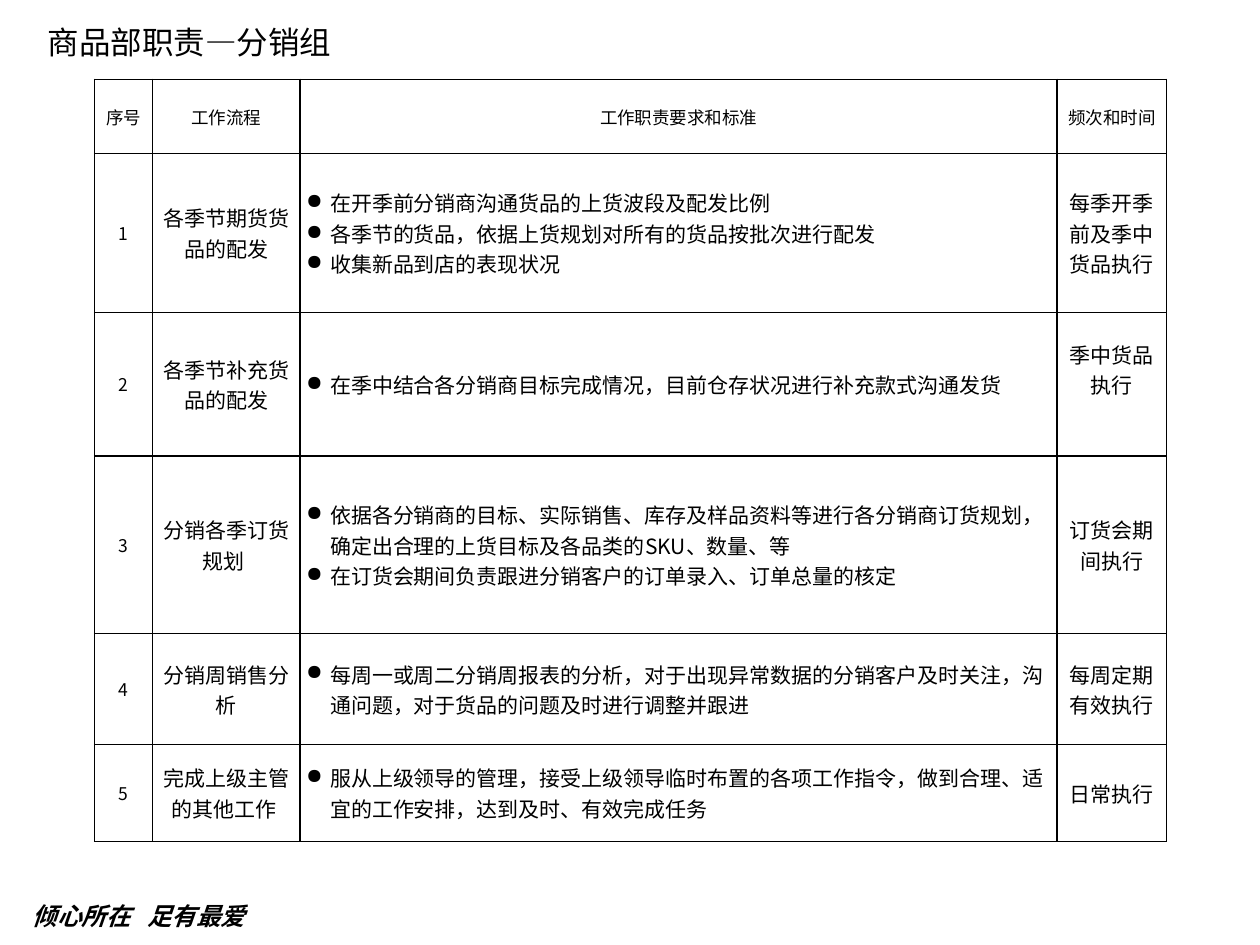
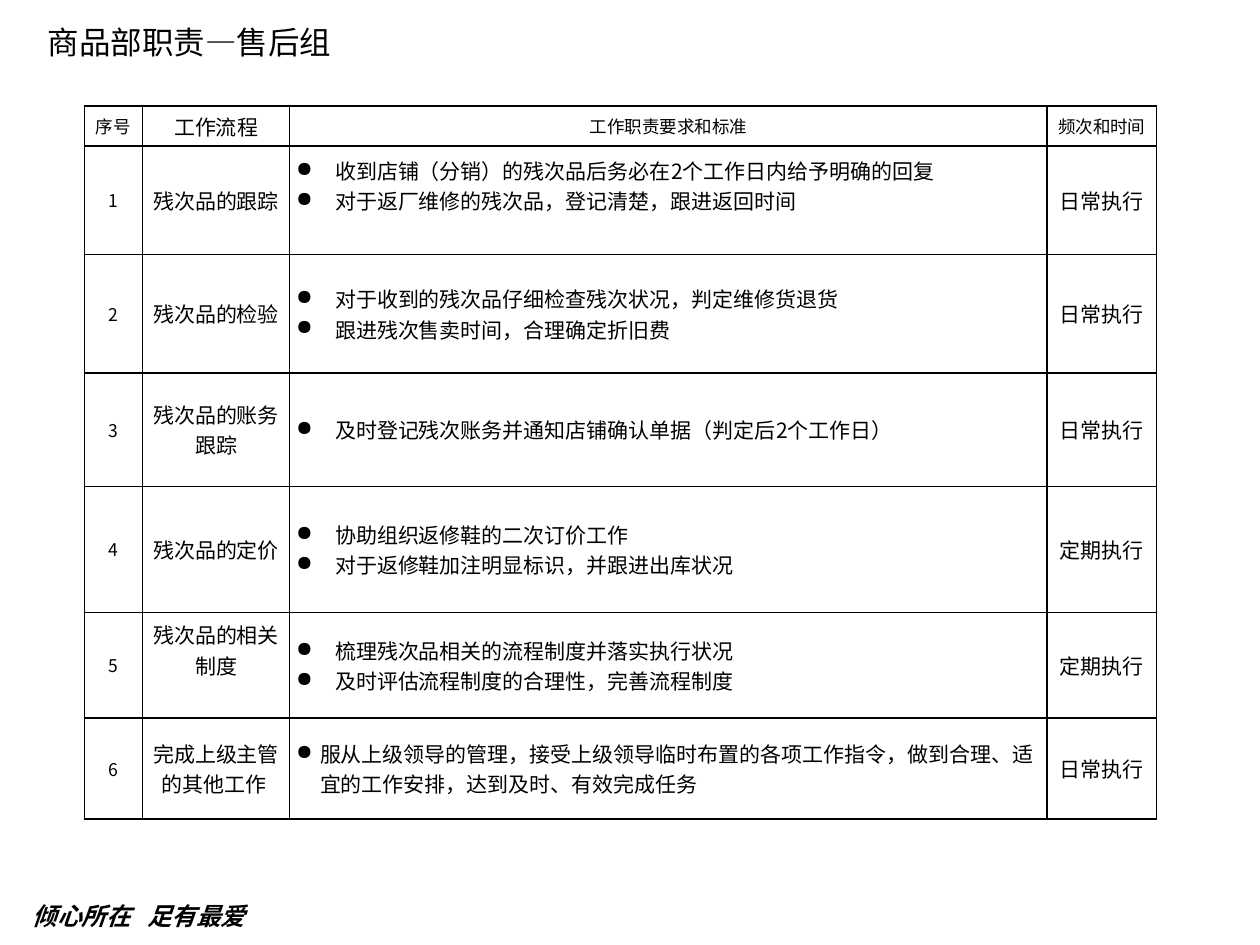
from dataclasses import dataclass

from lxml.etree import SubElement
from pptx import Presentation
from pptx.dml.color import RGBColor
from pptx.enum.text import MSO_ANCHOR, PP_ALIGN
from pptx.oxml import parse_xml
from pptx.oxml.ns import nsdecls, qn
from pptx.util import Inches, Pt


@dataclass(frozen=True)
class Theme:
    font: str = "Noto Sans CJK SC"
    ink: str = "000000"
    title: int = 18
    slogan: int = 14
    body: int = 12
    label: int = 10
    border: int = 1
    tight_indent: float = 0.19
    wide_indent: float = 0.31
    line: float = 0.24


THEME = Theme()
HEADERS = ["序号", "工作流程", "工作职责要求和标准", "频次和时间"]
COLUMN_WIDTHS = [0.46, 1.17, 6.01, 0.87]
PROCESS, POINTS, TIMING = 1, 2, 3


@dataclass
class Duty:
    """One table row; the cell in column `raised` sits half a line higher."""
    height: float
    process: str
    points: list
    timing: str
    indent: float = THEME.tight_indent
    raised: int = -1


def write(frame, *lines, size, align=PP_ALIGN.LEFT, bold=False, italic=False,
          indent=0, bullet=None, tab=None):
    """Fill a text frame, one paragraph per line."""
    for index, line in enumerate(lines):
        paragraph = frame.paragraphs[0] if index == 0 else frame.add_paragraph()
        paragraph.alignment = align
        properties = paragraph._p.get_or_add_pPr()
        if indent:
            properties.set("marL", str(Inches(indent)))
            properties.set("indent", str(-Inches(indent)))
        if bullet:
            SubElement(properties, qn("a:buChar"), char=bullet)
        if tab:
            stops = SubElement(properties, qn("a:tabLst"))
            SubElement(stops, qn("a:tab"), pos=str(Inches(tab)), algn="l")
        run = paragraph.add_run()
        run.text = line
        font = run.font
        font.size, font.bold, font.italic = Pt(size), bold, italic
        font.color.rgb = RGBColor.from_string(THEME.ink)
        font.name = THEME.font
        SubElement(run._r.get_or_add_rPr(), qn("a:ea"), typeface=THEME.font)


class Deck:
    def __init__(self, theme):
        self.theme = theme
        self.presentation = Presentation()
        self.presentation.slide_width = Inches(10)
        self.presentation.slide_height = Inches(7.5)
        self.slide = None

    def add_slide(self, title):
        blank = self.presentation.slide_layouts[6]
        self.slide = self.presentation.slides.add_slide(blank)
        self.add_text(0.16, 7.1, 2.47, 0.32, "倾心所在\t足有最爱",
                      size=self.theme.slogan, bold=True, italic=True, tab=0.91)
        self.add_text(0.28, 0.13, 3.86, 0.4, title, size=self.theme.title)

    def add_text(self, left, top, width, height, text, **style):
        box = self.slide.shapes.add_textbox(
            Inches(left), Inches(top), Inches(width), Inches(height))
        box.text_frame.word_wrap = True
        write(box.text_frame, text, **style)

    def add_borders(self, cell):
        properties = cell._tc.get_or_add_tcPr()
        for position, side in enumerate(("lnL", "lnR", "lnT", "lnB")):
            properties.insert(position, parse_xml(
                f'<a:{side} {nsdecls("a")} w="{Pt(self.theme.border)}">'
                f'<a:solidFill><a:srgbClr val="{self.theme.ink}"/></a:solidFill>'
                f'</a:{side}>'))

    def fill_cell(self, cell, *lines, raised=False, **style):
        cell.vertical_anchor = MSO_ANCHOR.MIDDLE
        cell.margin_left = cell.margin_right = Inches(0.05)
        cell.margin_top = 0
        cell.margin_bottom = Inches(self.theme.line if raised else 0)
        cell.fill.background()
        self.add_borders(cell)
        write(cell.text_frame, *lines, **style)

    def add_duty_table(self, left, top, header_height, duties, process_header_size):
        heights = [header_height] + [duty.height for duty in duties]
        table = self.slide.shapes.add_table(
            len(heights), len(HEADERS), Inches(left), Inches(top),
            Inches(sum(COLUMN_WIDTHS)), Inches(sum(heights))).table
        table.first_row = table.horz_banding = False
        for column, width in zip(table.columns, COLUMN_WIDTHS):
            column.width = Inches(width)
        for row, height in zip(table.rows, heights):
            row.height = Inches(height)

        for column, header in enumerate(HEADERS):
            self.fill_cell(
                table.cell(0, column), header, align=PP_ALIGN.CENTER,
                size=process_header_size if column == PROCESS else self.theme.label,
                indent=0.06 if column == TIMING else 0)
        for number, duty in enumerate(duties, 1):
            self.fill_cell(table.cell(number, 0), str(number),
                           size=self.theme.label, align=PP_ALIGN.CENTER)
            for column, text in ((PROCESS, duty.process), (TIMING, duty.timing)):
                self.fill_cell(table.cell(number, column), text,
                               size=self.theme.body, align=PP_ALIGN.CENTER,
                               raised=duty.raised == column)
            self.fill_cell(table.cell(number, POINTS), *duty.points,
                           size=self.theme.body, indent=duty.indent, bullet="●",
                           raised=duty.raised == POINTS)


def other_work(height):
    """The closing row that both groups share."""
    return Duty(height, "完成上级主管的其他工作 ",
                ["服从上级领导的管理，接受上级领导临时布置的各项工作指令，"
                 "做到合理、适宜的工作安排，达到及时、有效完成任务"], "日常执行")


DISTRIBUTION = [
    Duty(1.26, "各季节期货货品的配发",
         ["在开季前分销商沟通货品的上货波段及配发比例",
          "各季节的货品，依据上货规划对所有的货品按批次进行配发",
          "收集新品到店的表现状况"], "每季开季前及季中货品执行"),
    Duty(1.14, "各季节补充货品的配发",
         ["在季中结合各分销商目标完成情况，目前仓存状况进行补充款式沟通发货"],
         "季中货品执行", raised=TIMING),
    Duty(1.41, "分销各季订货规划 ",
         ["依据各分销商的目标、实际销售、库存及样品资料等进行各分销商订货规划，"
          "确定出合理的上货目标及各品类的SKU、数量、等",
          "在订货会期间负责跟进分销客户的订单录入、订单总量的核定"],
         "订货会期间执行"),
    Duty(0.88, "分销周销售分析",
         ["每周一或周二分销周报表的分析，对于出现异常数据的分销客户及时关注，"
          "沟通问题，对于货品的问题及时进行调整并跟进"], "每周定期有效执行"),
    other_work(0.77),
]

AFTER_SALES = [
    Duty(0.86, "残次品的跟踪",
         ["收到店铺（分销）的残次品后务必在2个工作日内给予明确的回复",
          "对于返厂维修的残次品，登记清楚，跟进返回时间"],
         "日常执行", THEME.wide_indent, raised=POINTS),
    Duty(0.94, "残次品的检验",
         ["对于收到的残次品仔细检查残次状况，判定维修货退货",
          "跟进残次售卖时间，合理确定折旧费"], "日常执行", THEME.wide_indent),
    Duty(0.9, "残次品的账务跟踪",
         ["及时登记残次账务并通知店铺确认单据（判定后2个工作日）"],
         "日常执行", THEME.wide_indent),
    Duty(1, "残次品的定价",
         ["协助组织返修鞋的二次订价工作",
          "对于返修鞋加注明显标识，并跟进出库状况"], "定期执行", THEME.wide_indent),
    Duty(0.84, "残次品的相关制度",
         ["梳理残次品相关的流程制度并落实执行状况",
          "及时评估流程制度的合理性，完善流程制度"],
         "定期执行", THEME.wide_indent, raised=PROCESS),
    other_work(0.8),
]


def main():
    deck = Deck(THEME)
    deck.add_slide("商品部职责—分销组")
    deck.add_duty_table(0.75, 0.63, 0.59, DISTRIBUTION, THEME.label)
    deck.add_slide("商品部职责—售后组")
    deck.add_duty_table(0.67, 0.84, 0.32, AFTER_SALES, THEME.body)
    deck.presentation.save("out.pptx")


if __name__ == "__main__":
    main()
